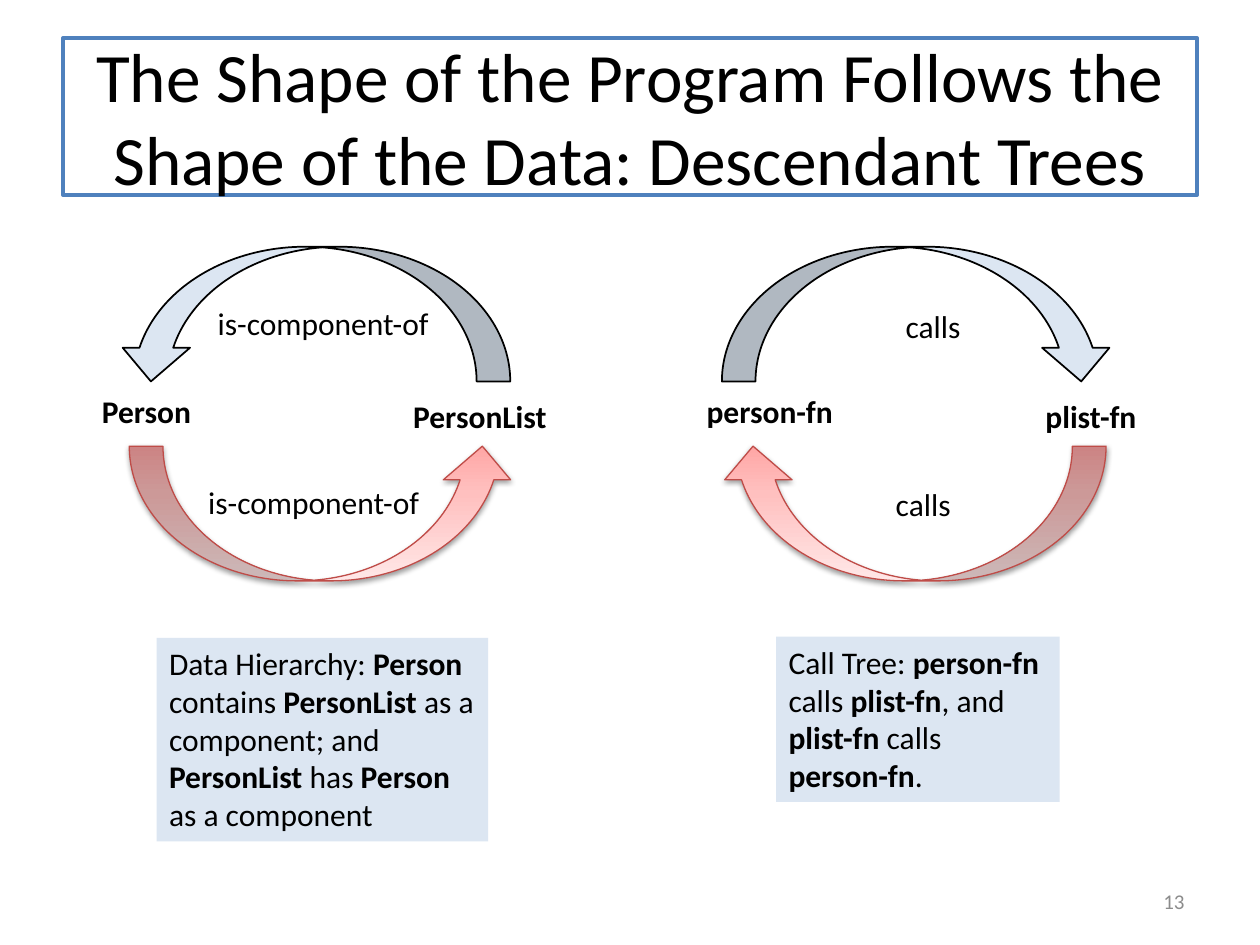
from lxml import etree
from pptx import Presentation
from pptx.dml.color import RGBColor
from pptx.enum import shapes, text
from pptx.oxml import parse_xml
from pptx.util import Pt

NS = 'xmlns:a="http://schemas.openxmlformats.org/drawingml/2006/main"'
GRADIENT = f'''<a:gradFill {NS} rotWithShape="1"><a:gsLst>
<a:gs pos="0"><a:srgbClr val="FFA6A5"/></a:gs>
<a:gs pos="35000"><a:srgbClr val="FFC0BF"/></a:gs>
<a:gs pos="100000"><a:srgbClr val="FFE7E7"/></a:gs>
</a:gsLst><a:lin ang="16200000" scaled="1"/></a:gradFill>'''
SHADOW = f'''<a:effectLst {NS}>
<a:outerShdw blurRad="{Pt(3.1)}" dist="{Pt(1.6)}" dir="5400000" rotWithShape="0">
<a:srgbClr val="000000"><a:alpha val="38000"/></a:srgbClr></a:outerShdw></a:effectLst>'''


def rgb(value):
    return RGBColor.from_string(value)


def write(sp, parts, size=18, color="000000", align=text.PP_ALIGN.LEFT):
    """Fill a shape with one paragraph of (wording, bold) parts."""
    tf = sp.text_frame
    tf.word_wrap = True
    p = tf.paragraphs[0]
    p.alignment = align
    for wording, bold in parts:
        r = p.add_run()
        r.text = wording
        r.font.name, r.font.size, r.font.bold = "Calibri", Pt(size), bold
        r.font.color.rgb = rgb(color)


prs = Presentation()
prs.slide_width, prs.slide_height = Pt(720), Pt(540)
s = prs.slides.add_slide(prs.slide_layouts[5])
LEFT, CENTER = text.PP_ALIGN.LEFT, text.PP_ALIGN.CENTER

# Title
title = s.shapes.title
title.left, title.top, title.width, title.height = Pt(36), Pt(21.6), Pt(648), Pt(90)
title.fill.solid()
title.fill.fore_color.rgb = rgb("FFFFFF")
title.line.color.rgb = rgb("4F81BD")
title.line.width = Pt(2)
title.text_frame.vertical_anchor = text.MSO_ANCHOR.MIDDLE
write(title, [("The Shape of the Program Follows the Shape of the Data: "
               "Descendant Trees", False)], size=39.6, align=CENTER)

# Slide number
number = s.shapes.add_textbox(Pt(516), Pt(500.5), Pt(168), Pt(28.75))
number.text_frame.vertical_anchor = text.MSO_ANCHOR.MIDDLE
write(number, [("13", False)], size=12, color="8C8C8C", align=text.PP_ALIGN.RIGHT)

# Explanations
explanations = [
    (89.5, 364.5, 189.5, 116.3,
     [("Data Hierarchy: ", False), ("Person", True), (" contains ", False),
      ("PersonList", True), (" as a component; and ", False), ("PersonList", True),
      (" has ", False), ("Person", True), (" as a component", False)]),
    (443.5, 363.8, 162, 94.5,
     [("Call Tree: ", False), ("person-fn", True), (" calls ", False),
      ("plist-fn", True), (", and ", False), ("plist-fn", True),
      (" calls ", False), ("person-fn", True), (".", False)]),
]
for x, y, w, h, parts in explanations:
    sp = s.shapes.add_shape(shapes.MSO_SHAPE.RECTANGLE, Pt(x), Pt(y), Pt(w), Pt(h))
    sp.shadow.inherit = False
    sp.fill.solid()
    sp.fill.fore_color.rgb = rgb("DCE6F2")
    sp.line.fill.background()
    sp.text_frame.vertical_anchor = text.MSO_ANCHOR.TOP
    sp.text_frame.auto_size = text.MSO_AUTO_SIZE.SHAPE_TO_FIT_TEXT
    write(sp, parts)

# Cycles: upper arrow (x, flips), lower arrow (x, flips), labels
cycles = [
    ((67, ["flipH"]), (73.9, ["flipV"]), [
        ("Person", 51.1, 220.5, 72, True, LEFT),
        ("PersonList", 229, 223.5, 97.2, True, LEFT),
        ("is-component-of", 115.9, 169.9, 137.5, False, CENTER),
        ("is-component-of", 110.5, 272.2, 137.5, False, CENTER)]),
    ((412.5, []), (411.1, ["flipH", "flipV"]), [
        ("person-fn", 396.7, 220.5, 89.3, True, LEFT),
        ("plist-fn", 574.8, 223.5, 97.2, True, CENTER),
        ("calls", 464.4, 171.6, 137.5, False, CENTER),
        ("calls", 458.8, 273.8, 137.5, False, CENTER)]),
]
for upper, lower, labels in cycles:
    group = s.shapes.add_group_shape()
    arrows = []
    for (x, flips), y, w in ((upper, 141, 224.6), (lower, 255, 221)):
        sp = group.shapes.add_shape(shapes.MSO_SHAPE.CURVED_DOWN_ARROW,
                                    Pt(x), Pt(y), Pt(w), Pt(77))
        for flip in flips:
            sp._element.spPr.xfrm.set(flip, "1")
        arrows.append(sp)
    top, bottom = arrows

    top.shadow.inherit = False
    top.fill.solid()
    top.fill.fore_color.rgb = rgb("DCE6F2")
    top.line.color.rgb = rgb("000000")
    top.line.width = Pt(1)

    bottom.line.color.rgb = rgb("BF4C48")
    bottom.line.width = Pt(0.75)
    bottom._element.spPr.prstGeom.addnext(parse_xml(GRADIENT))
    bottom._element.spPr.append(parse_xml(SHADOW))

    for wording, x, y, w, bold, align in labels:
        box = group.shapes.add_textbox(Pt(x), Pt(y), Pt(w), Pt(29))
        box.text_frame.auto_size = text.MSO_AUTO_SIZE.SHAPE_TO_FIT_TEXT
        write(box, [(wording, bold)], align=align)

prs.save("out.pptx")
